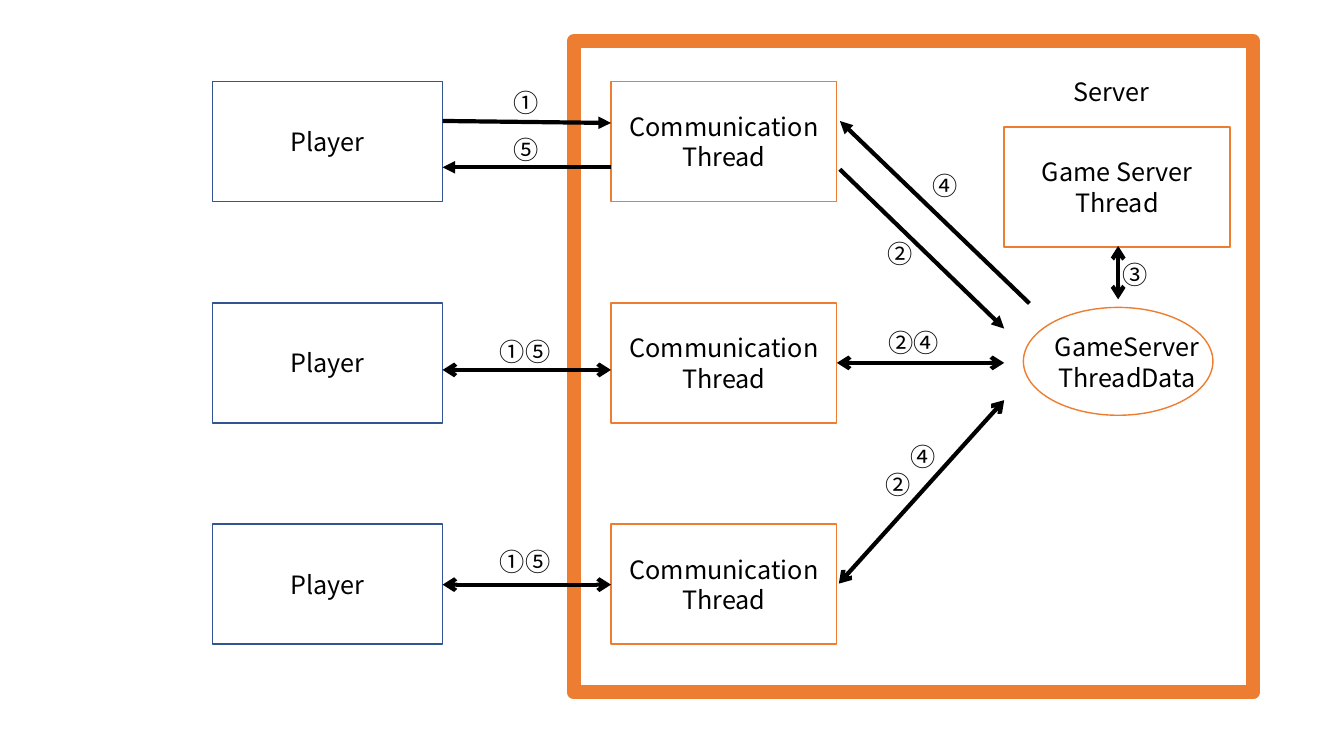
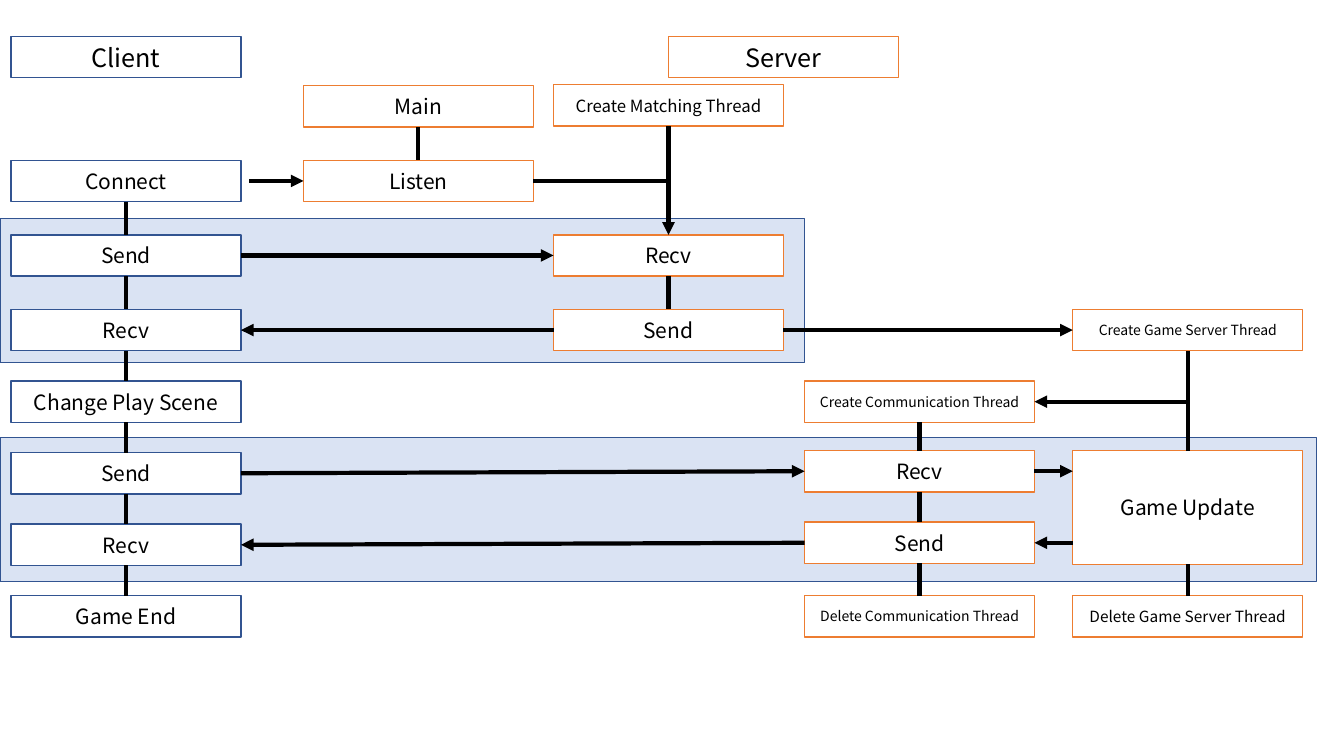
from dataclasses import dataclass

from lxml import etree
from pptx import Presentation
from pptx.dml.color import RGBColor
from pptx.enum.shapes import MSO_CONNECTOR, MSO_SHAPE
from pptx.enum.text import MSO_ANCHOR, PP_ALIGN
from pptx.oxml.ns import qn
from pptx.util import Inches, Pt

RECTANGLE = MSO_SHAPE.RECTANGLE
ELLIPSE = MSO_SHAPE.OVAL
STRAIGHT = MSO_CONNECTOR.STRAIGHT
LEFT, CENTER = PP_ALIGN.LEFT, PP_ALIGN.CENTER
TOP, MIDDLE = MSO_ANCHOR.TOP, MSO_ANCHOR.MIDDLE


@dataclass(frozen=True)
class Theme:
    font: str = "Noto Sans CJK KR"
    ink: RGBColor = RGBColor(0x00, 0x00, 0x00)
    paper: RGBColor = RGBColor(0xFF, 0xFF, 0xFF)
    client: RGBColor = RGBColor(0x32, 0x54, 0x91)
    server: RGBColor = RGBColor(0xED, 0x7D, 0x31)
    band: RGBColor = RGBColor(0xDA, 0xE3, 0xF3)
    heading: int = 18
    step: int = 15
    note: int = 12
    small: int = 11
    tiny: int = 10
    outline: int = 1
    frame: int = 10
    arrow: int = 3


THEME = Theme()


def add_label(page, text, left, top, width, height, *, line=None, fill=THEME.paper,
              shape=RECTANGLE, weight=THEME.outline, size=THEME.heading, align=CENTER):
    area = [Inches(value) for value in (left, top, width, height)]
    if line is None:
        box = page.shapes.add_textbox(*area)
    else:
        box = page.shapes.add_shape(shape, *area)
        box.shadow.inherit = False
        box.fill.solid()
        box.fill.fore_color.rgb = fill
        box.line.color.rgb = line
        box.line.width = Pt(weight)
    frame = box.text_frame
    frame.word_wrap = True
    frame.vertical_anchor = TOP if line is None else MIDDLE
    for index, words in enumerate(text.split("\n") if text else []):
        para = frame.add_paragraph() if index else frame.paragraphs[0]
        para.alignment = align
        span = para.add_run()
        span.text = words
        span.font.size = Pt(size)
        span.font.color.rgb = THEME.ink
        span.font.name = THEME.font
        etree.SubElement(span.font._element, qn("a:ea"), typeface=THEME.font)


def add_line(page, start, end, *, head=None, tail=None):
    line = page.shapes.add_connector(STRAIGHT, *[Inches(value) for value in (*start, *end)])
    line.line.color.rgb = THEME.ink
    line.line.width = Pt(THEME.arrow)
    outline = line.line._get_or_add_ln()
    for tag, kind in (("a:headEnd", head), ("a:tailEnd", tail)):
        if kind:
            etree.SubElement(outline, qn(tag), type=kind)
    etree.SubElement(line._element.spPr, qn("a:effectLst"))


ONE_WAY = {"tail": "triangle"}
TWO_WAY = {"head": "arrow", "tail": "arrow"}

deck = Presentation()
deck.slide_width, deck.slide_height = Inches(13.33), Inches(7.5)
blank = deck.slide_layouts[6]

page = deck.slides.add_slide(blank)
PLAYER, THREAD, GAME = 2.11, 6.06, 9.96
PLAYER_WIDTH, THREAD_WIDTH, BLOCK_HEIGHT = 2.28, 2.24, 1.19
PLAYER_EDGE, THREAD_EDGE = PLAYER + PLAYER_WIDTH, THREAD + THREAD_WIDTH

add_label(page, "", 5.69, 0.41, 6.74, 6.46, line=THEME.server, weight=THEME.frame)
for row in range(3):
    top = 0.81 + 2.195 * row
    add_label(page, "Player", PLAYER, top, PLAYER_WIDTH, BLOCK_HEIGHT, line=THEME.client)
    add_label(page, "Communication\nThread", THREAD, top, THREAD_WIDTH, BLOCK_HEIGHT,
              line=THEME.server)
add_label(page, "Game Server\nThread", GAME, 1.26, THREAD_WIDTH, BLOCK_HEIGHT, line=THEME.server)
add_label(page, "", 10.15, 3.05, 1.88, 1.07, line=THEME.server, shape=ELLIPSE)
add_label(page, "GameServer\nThreadData", 10.33, 3.24, 1.7, 0.71)
add_label(page, "Server", 10.16, 0.71, 1.73, 0.4)

for start, end, ends in (
    ((PLAYER_EDGE, 1.2), (THREAD, 1.22), ONE_WAY),
    ((THREAD, 1.66), (PLAYER_EDGE, 1.66), ONE_WAY),
    ((PLAYER_EDGE, 3.67), (THREAD, 3.67), TWO_WAY),
    ((PLAYER_EDGE, 5.8), (THREAD, 5.8), TWO_WAY),
    ((8.33, 1.68), (GAME, 3.26), ONE_WAY),
    ((10.21, 3.01), (8.33, 1.2), ONE_WAY),
    ((THREAD_EDGE, 3.6), (GAME, 3.6), TWO_WAY),
    ((8.32, 5.79), (GAME, 3.97), TWO_WAY),
    ((11.09, 2.97), (11.09, 2.44), TWO_WAY),
):
    add_line(page, start, end, **ends)

for mark, left, top in (
    ("①", 4.99, 0.82), ("⑤", 4.99, 1.28), ("①⑤", 4.86, 3.29), ("①⑤", 4.86, 5.37),
    ("②", 8.7, 2.32), ("④", 9.15, 1.64), ("③", 11.03, 2.52), ("②④", 8.71, 3.2),
    ("②", 8.68, 4.61), ("④", 8.93, 4.33),
):
    add_label(page, mark, left, top, 0.19 + 0.26 * len(mark), 0.4, align=LEFT)

page = deck.slides.add_slide(blank)
CLIENT, MAIN, MATCHING, COMMUNICATION, UPDATE = 0.11, 3.01, 5.49, 7.98, 10.64
STEP_WIDTH, STEP_HEIGHT, UPDATE_HEIGHT = 2.28, 0.41, 1.13
HALF_WIDTH, HALF_HEIGHT = STEP_WIDTH / 2, STEP_HEIGHT / 2
CONNECT, SEND, RECV = [1.59 + 0.74 * row for row in range(3)]
SCENE, PLAY_SEND, PLAY_RECV, FINISH = [RECV + 0.71 * row for row in range(1, 5)]
GAME_RECV, GAME_SEND = PLAY_SEND - 0.02, PLAY_RECV - 0.02
TITLE, OPENING = 0.36, 0.85

for top, width in ((2.17, 7.98), (4.34, 13.06)):
    add_label(page, "", 0, top, width, 1.43, line=THEME.client, fill=THEME.band)
for text, left, color in (("Client", CLIENT, THEME.client), ("Server", 6.63, THEME.server)):
    add_label(page, text, left, TITLE, STEP_WIDTH, STEP_HEIGHT, line=color)

lanes = (
    (CLIENT, THEME.client, (
        ("Connect", CONNECT, THEME.step), ("Send", SEND, THEME.step),
        ("Recv", RECV, THEME.step), ("Change Play Scene", SCENE, THEME.step),
        ("Send", PLAY_SEND, THEME.step), ("Recv", PLAY_RECV, THEME.step),
        ("Game End", FINISH, THEME.step))),
    (MAIN, THEME.server, (
        ("Main", OPENING, THEME.step), ("Listen", CONNECT, THEME.step))),
    (MATCHING, THEME.server, (
        ("Create Matching Thread", OPENING - 0.01, THEME.note),
        ("Recv", SEND, THEME.step), ("Send", RECV, THEME.step))),
    (COMMUNICATION, THEME.server, (
        ("Create Communication Thread", SCENE, THEME.tiny),
        ("Recv", GAME_RECV, THEME.step), ("Send", GAME_SEND, THEME.step),
        ("Delete Communication Thread", FINISH, THEME.tiny))),
    (UPDATE, THEME.server, (
        ("Create Game Server Thread", RECV, THEME.tiny),
        ("Game Update", GAME_RECV, THEME.step),
        ("Delete Game Server Thread", FINISH, THEME.small))),
)
for left, color, steps in lanes:
    center, bottom = left + HALF_WIDTH, None
    for text, top, size in steps:
        height = UPDATE_HEIGHT if text == "Game Update" else STEP_HEIGHT
        add_label(page, text, left, top, STEP_WIDTH, height, line=color, size=size)
        if bottom is not None:
            ends = ONE_WAY if (left, top) == (MATCHING, SEND) else {}
            add_line(page, (center, bottom), (center, top), **ends)
        bottom = top + height

for start, start_row, end, end_row, ends in (
    (2.47, CONNECT, MAIN, CONNECT, ONE_WAY),
    (MAIN + STEP_WIDTH, CONNECT, MATCHING + HALF_WIDTH, CONNECT, {}),
    (CLIENT + STEP_WIDTH, SEND, MATCHING, SEND, ONE_WAY),
    (MATCHING, RECV, CLIENT + STEP_WIDTH, RECV, ONE_WAY),
    (MATCHING + STEP_WIDTH, RECV, UPDATE, RECV, ONE_WAY),
    (UPDATE + HALF_WIDTH, SCENE, COMMUNICATION + STEP_WIDTH, SCENE, ONE_WAY),
    (CLIENT + STEP_WIDTH, PLAY_SEND, COMMUNICATION, GAME_RECV, ONE_WAY),
    (COMMUNICATION, GAME_SEND, CLIENT + STEP_WIDTH, PLAY_RECV, ONE_WAY),
    (COMMUNICATION + STEP_WIDTH, GAME_RECV, UPDATE, GAME_RECV, ONE_WAY),
    (UPDATE, GAME_SEND, COMMUNICATION + STEP_WIDTH, GAME_SEND, ONE_WAY),
):
    add_line(page, (start, start_row + HALF_HEIGHT), (end, end_row + HALF_HEIGHT), **ends)

deck.save("out.pptx")
